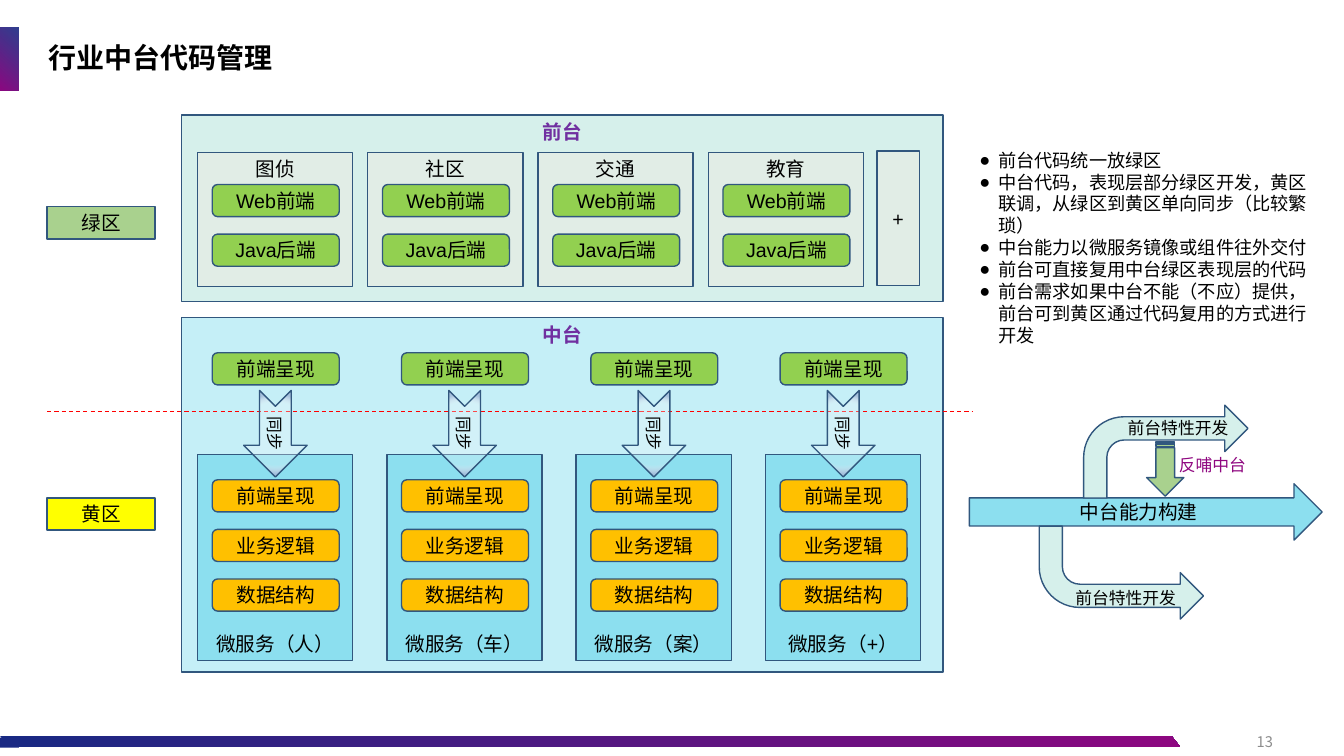
from lxml import etree
from pptx import Presentation
from pptx.dml.color import RGBColor
from pptx.enum.dml import MSO_LINE
from pptx.enum.shapes import MSO_CONNECTOR, MSO_SHAPE
from pptx.enum.text import MSO_ANCHOR, MSO_AUTO_SIZE, PP_ALIGN
from pptx.oxml import parse_xml
from pptx.oxml.ns import nsdecls, qn
from pptx.util import Cm, Pt

RECT, PILL = MSO_SHAPE.RECTANGLE, MSO_SHAPE.ROUNDED_RECTANGLE
SLANT, BENT = MSO_SHAPE.PARALLELOGRAM, MSO_SHAPE.BENT_ARROW
ARROW, NOTCHED = MSO_SHAPE.RIGHT_ARROW, MSO_SHAPE.NOTCHED_RIGHT_ARROW
STRIPED = MSO_SHAPE.STRIPED_RIGHT_ARROW
TOP, MIDDLE, BOTTOM = MSO_ANCHOR.TOP, MSO_ANCHOR.MIDDLE, MSO_ANCHOR.BOTTOM
LEFT, CENTER, RIGHT = PP_ALIGN.LEFT, PP_ALIGN.CENTER, PP_ALIGN.RIGHT

# Content
TITLE = "行业中台代码管理"
PAGE = "13"
ZONES = [("绿区", "green_zone", 5.21), ("黄区", "yellow_zone", 12.55)]
FRONT = "前台"
INDUSTRIES = ["图侦", "社区", "交通", "教育"]
INDUSTRY_PARTS = ["Web前端", "Java后端"]
MORE = "+"
MIDDLE_STAGE = "中台"
SERVICES = ["人", "车", "案", "+"]
SERVICE_VIEW = "前端呈现"
SERVICE_PARTS = ["前端呈现", "业务逻辑", "数据结构"]
SYNC = "同步"
NOTES = [
    "前台代码统一放绿区",
    "中台代码，表现层部分绿区开发，黄区联调，从绿区到黄区单向同步（比较繁琐）",
    "中台能力以微服务镜像或组件往外交付",
    "前台可直接复用中台绿区表现层的代码",
    "前台需求如果中台不能（不应）提供，前台可到黄区通过代码复用的方式进行开发",
]
CORE = "中台能力构建"
FEATURE = "前台特性开发"
FEEDBACK = "反哺中台"


class Theme:
    font, page_font = "Arial", "Noto Sans CJK SC"
    title, body, notes, small, page = 20, 14, 13, 12, 10.5
    text, heading, accent, muted = "000000", "7030A0", "8F0780", "8C8C8C"
    outline, divider = "31577E", "FF0000"
    front, middle, card, service = "D6F0EB", "C5EFF7", "E1EDE6", "8CDFEF"
    green, orange = "92D050", "FFC000"
    green_zone, yellow_zone = "A9D18E", "FFFF00"
    foot = "1A2983"
    # Gradient stops: position %, colour, opacity %
    tab = [(0, "182983", 90), (100, "8D0780", 100)]
    bar = [(0, "182983", 100), (100, "8D0780", 100)]
    sync = [(58, "F5F8FB", 29), (74, "A6C1DD", 100),
            (83, "A6C1DD", 100), (100, "C4D6E8", 100)]


prs = Presentation()
prs.slide_width, prs.slide_height = Cm(33.87), Cm(19.05)
s = prs.slides.add_slide(prs.slide_layouts[6])


def write(sp, paragraphs, size, color=Theme.text, align=CENTER, anchor=MIDDLE,
          bold=False, font=Theme.font):
    tf = sp.text_frame
    tf.word_wrap = True
    tf.vertical_anchor = anchor
    for i, line in enumerate(paragraphs):
        p = tf.paragraphs[0] if i == 0 else tf.add_paragraph()
        p.alignment = align
        r = p.add_run()
        r.text = line
        r.font.size, r.font.bold, r.font.name = Pt(size), bold, font
        r.font.color.rgb = RGBColor.from_string(color)
        etree.SubElement(r.font._element, qn("a:ea")).set("typeface", font)


def box(place, fill, text=None, kind=RECT, outlined=True, size=Theme.body, **style):
    sp = s.shapes.add_shape(kind, *map(Cm, place))
    sp.shadow.inherit = False
    if fill:
        sp.fill.solid()
        sp.fill.fore_color.rgb = RGBColor.from_string(fill)
    if outlined:
        sp.line.color.rgb = RGBColor.from_string(Theme.outline)
        sp.line.width = Pt(1)
    else:
        sp.line.fill.background()
    if text:
        write(sp, [text], size, **style)
    return sp


def label(place, paragraphs, size, grow=False, **style):
    sp = s.shapes.add_textbox(*map(Cm, place))
    write(sp, paragraphs, size, **style)
    if grow:
        sp.text_frame.auto_size = MSO_AUTO_SIZE.SHAPE_TO_FIT_TEXT
    return sp


def gradient(sp, stops, angle=None):
    marks = "".join(
        f'<a:gs pos="{pos * 1000}"><a:srgbClr val="{color}">'
        f'<a:alpha val="{alpha * 1000}"/></a:srgbClr></a:gs>'
        for pos, color, alpha in stops)
    if angle is None:
        way = ('<a:path path="circle"><a:fillToRect l="50000" t="50000" '
               'r="50000" b="50000"/></a:path>')
    else:
        way = f'<a:lin ang="{angle * 60000}" scaled="0"/>'
    sp._element.spPr.find(qn("a:prstGeom")).addnext(parse_xml(
        f'<a:gradFill {nsdecls("a")} rotWithShape="1">'
        f'<a:gsLst>{marks}</a:gsLst>{way}</a:gradFill>'))


def flip(sp, axis):
    sp._element.spPr.find(qn("a:xfrm")).set("flip" + axis, "1")


# Page frame
gradient(box((0, 0.69, 0.46, 1.6), None, outlined=False), Theme.tab, 135)
label((24.71, 18.19, 7.62, 1.02), [PAGE], Theme.page, color=Theme.muted,
      align=RIGHT, font=Theme.page_font)
bar = box((0, 18.54, 29.74, 0.28), None, kind=SLANT, outlined=False)
bar.adjustments[0] = 0.775
gradient(bar, Theme.bar, 180)
flip(bar, "H")
box((0, 18.59, 0.48, 0.25), Theme.foot, outlined=False)
title = label((0.97, 0.69, 28.19, 1.6), [TITLE], Theme.title, align=LEFT, bold=True)
title.text_frame.paragraphs[0].line_spacing = 0.9

# Stage panels and zone labels
for name, fill, top, height in [(MIDDLE_STAGE, Theme.middle, 8.0, 8.94),
                                (FRONT, Theme.front, 2.9, 4.7)]:
    box((4.57, top, 19.2, height), fill, name, color=Theme.heading, bold=True, anchor=TOP)
for name, fill, top in ZONES:
    box((1.19, top, 2.72, 0.81), getattr(Theme, fill), name)

# Cards and the pills inside them
CARD_X, CARD_W = 4.98, 3.91
PILL_DX, PILL_W, PILL_H, PILL_STEP = 0.37, 3.2, 0.81, 1.25


def pills(card_x, top, names, fill):
    for i, name in enumerate(names):
        box((card_x + PILL_DX, top + i * PILL_STEP, PILL_W, PILL_H), fill, name, kind=PILL)


for i, name in enumerate(INDUSTRIES):
    x = CARD_X + i * 4.29
    box((x, 3.84, CARD_W, 3.38), Theme.card, name, anchor=TOP)
    pills(x, 4.65, INDUSTRY_PARTS, Theme.green)
box((22.1, 3.81, 1.07, 3.38), Theme.card, MORE)

# Divider between the zones
divider = s.shapes.add_connector(MSO_CONNECTOR.STRAIGHT, Cm(1.19), Cm(10.36),
                                 Cm(24.51), Cm(10.36))
divider.line.color.rgb = RGBColor.from_string(Theme.divider)
divider.line.width, divider.line.dash_style = Pt(0.75), MSO_LINE.DASH
etree.SubElement(divider._element.spPr, qn("a:effectLst"))

# Services, each synchronised from the green zone
for i, name in enumerate(SERVICES):
    x = CARD_X + i * 4.77
    box((x, 11.46, CARD_W, 5.18), Theme.service, f"微服务（{name}）", anchor=BOTTOM)
    pills(x, 12.09, SERVICE_PARTS, Theme.orange)
    pills(x, 8.89, [SERVICE_VIEW], Theme.green)
    sync = box((x + 0.87, 10.13, 2.18, 1.6), None, SYNC, kind=NOTCHED, size=Theme.small)
    gradient(sync, Theme.sync)
    sync.rotation = 90

# Notes
notes = label((24.43, 3.63, 8.89, 5.26), NOTES, Theme.notes, grow=True,
              align=LEFT, anchor=TOP)
for p in notes.text_frame.paragraphs:
    pPr = p._p.get_or_add_pPr()
    pPr.set("marL", str(Cm(0.48)))
    pPr.set("indent", str(-Cm(0.48)))
    etree.SubElement(pPr, qn("a:buFont")).set("typeface", Theme.font)
    etree.SubElement(pPr, qn("a:buChar")).set("char", "●")

# Capability flow
box((24.43, 12.19, 8.89, 1.42), Theme.service, CORE, kind=ARROW)
for x, y, flipped in [(27.31, 10.21, False), (26.19, 13.26, True)]:
    branch = box((x, y, 4.14, 2.34), Theme.front, kind=BENT)
    branch.adjustments[3] = 0.438
    if flipped:
        flip(branch, "V")
box((28.68, 11.35, 1.37, 0.94), Theme.green_zone, kind=STRIPED).rotation = 90
for text, x, y, width, color in [(FEATURE, 26.85, 14.68, 3.3, Theme.text),
                                 (FEATURE, 28.17, 10.39, 3.12, Theme.text),
                                 (FEEDBACK, 29.46, 11.33, 2.84, Theme.accent)]:
    label((x, y, width, 0.76), [text], Theme.small, grow=True, color=color,
          align=LEFT, anchor=TOP)

prs.save("out.pptx")
